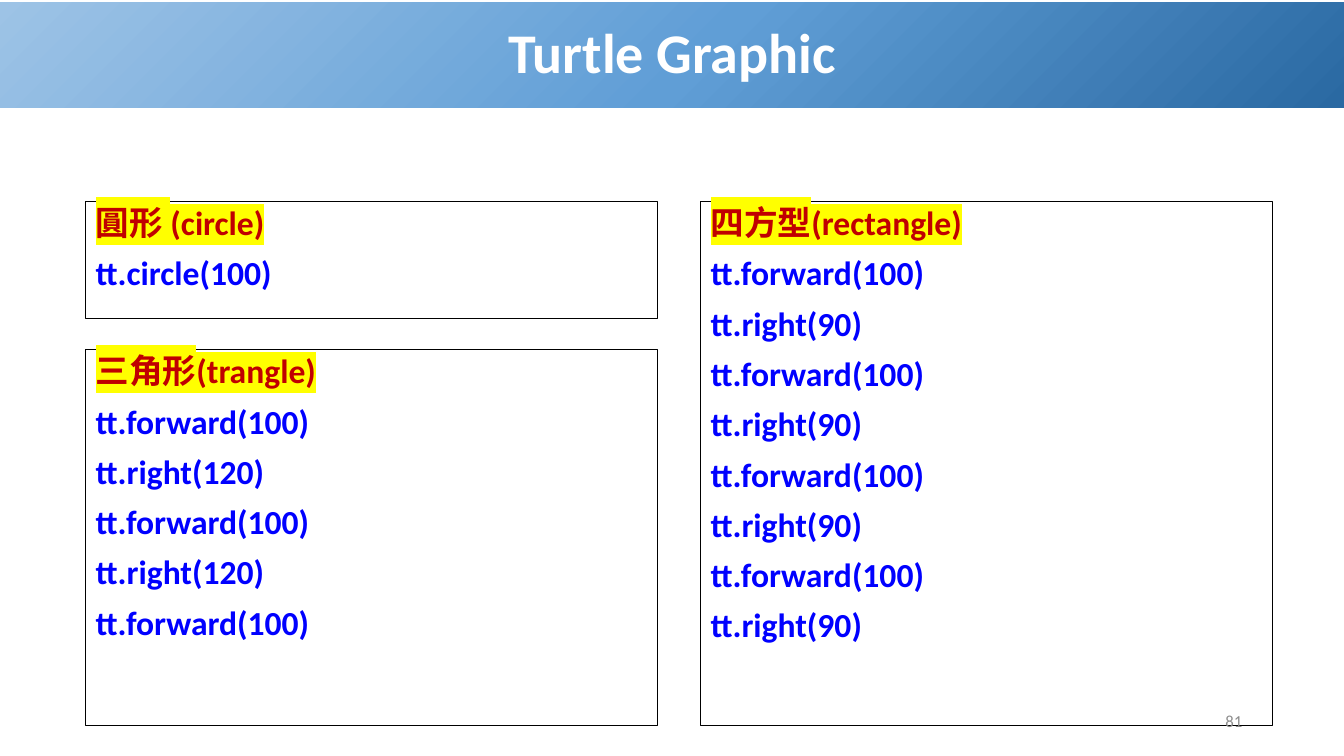
"""Build the Turtle Graphic slide with drawing commands for three figures."""
from dataclasses import dataclass

from lxml.etree import SubElement
from pptx import Presentation
from pptx.dml.color import RGBColor as Rgb
from pptx.enum.text import MSO_ANCHOR as Anchor, PP_ALIGN as Align
from pptx.oxml.ns import qn
from pptx.util import Inches, Pt

SLIDE_WIDTH, SLIDE_HEIGHT = Inches(13.33), Inches(7.5)


@dataclass(frozen=True)
class Theme:
    """Colours, font and type sizes of the slide."""
    font: str = "Calibri"
    title_size: int = 40
    code_size: int = 24
    number_size: int = 12
    title: str = "FFFFFF"
    heading: str = "C00000"
    marker: str = "FFFF00"
    code: str = "0000FF"
    border: str = "000000"
    number: str = "8C8C8C"
    banner: tuple = ((0, "2A69A2"), (48, "609ED6"), (100, "9DC3E6"))


THEME = Theme()


@dataclass(frozen=True)
class Grid:
    """Panel columns and rows in percent of the slide's size."""
    left: float = 6.38
    column: float = 42.53
    pitch: float = 45.75
    top: float = 26.67
    second_row: float = 46.27
    bottom: float = 95.93
    short_row: float = 15.47


GRID = Grid()


def area(left, top, width, height):
    """Turn percentages of the slide into lengths."""
    return (int(SLIDE_WIDTH * left / 100), int(SLIDE_HEIGHT * top / 100),
            int(SLIDE_WIDTH * width / 100), int(SLIDE_HEIGHT * height / 100))


def style(paragraph, size, color, bold=True):
    """Format the runs of a paragraph."""
    for run in paragraph.runs:
        run.font.name = THEME.font
        run.font.size = Pt(size)
        run.font.bold = bold
        run.font.color.rgb = Rgb.from_string(color)


def highlight(paragraph, color):
    """Mark the runs of a paragraph with a background colour."""
    for run in paragraph.runs:
        properties = run.font._element
        marker = SubElement(properties, qn("a:highlight"))
        SubElement(marker, qn("a:srgbClr"), val=color)
        properties.find(qn("a:latin")).addprevious(marker)


def radial_fill(shape, stops):
    """Fill a shape with a gradient spreading from its lower right corner."""
    gradient = SubElement(shape._element.spPr, qn("a:gradFill"), rotWithShape="1")
    stop_list = SubElement(gradient, qn("a:gsLst"))
    for position, color in stops:
        stop = SubElement(stop_list, qn("a:gs"), pos=str(position * 1000))
        SubElement(stop, qn("a:srgbClr"), val=color)
    circle = SubElement(gradient, qn("a:path"), path="circle")
    SubElement(circle, qn("a:fillToRect"), l="100000", t="100000")


def add_banner(slide, wording):
    """Place the title across the top of the slide."""
    banner = slide.shapes.title
    banner.left, banner.top, banner.width, banner.height = area(0, 0.27, 100, 14)
    radial_fill(banner, THEME.banner)
    frame = banner.text_frame
    frame.text = wording
    frame.vertical_anchor = Anchor.MIDDLE
    heading = frame.paragraphs[0]
    heading.alignment = Align.CENTER
    heading.line_spacing = 0.9
    style(heading, THEME.title_size, THEME.title)


def add_panel(slide, column, top, bottom, heading, commands):
    """Place a bordered panel with a marked heading above its commands."""
    left = GRID.left + column * GRID.pitch
    panel = slide.shapes.add_textbox(*area(left, top, GRID.column, bottom - top))
    panel.line.color.rgb = Rgb.from_string(THEME.border)
    panel.line.width = Pt(0.75)
    frame = panel.text_frame
    frame.word_wrap = True
    frame.text = "\n".join([heading, *commands])
    title, *steps = frame.paragraphs
    title.line_spacing = 0.9
    style(title, THEME.code_size, THEME.heading)
    highlight(title, THEME.marker)
    for step in steps:
        step.line_spacing = 0.9
        step.space_before = Pt(10)
        style(step, THEME.code_size, THEME.code)


def add_page_number(slide, number):
    """Place the page number at the lower right."""
    footer = slide.shapes.add_textbox(*area(70.67, 92.67, 22.5, 5.33))
    frame = footer.text_frame
    frame.word_wrap = True
    frame.vertical_anchor = Anchor.MIDDLE
    frame.text = number
    frame.paragraphs[0].alignment = Align.RIGHT
    style(frame.paragraphs[0], THEME.number_size, THEME.number, bold=False)


def main():
    """Build and save the slide."""
    deck = Presentation()
    deck.slide_width, deck.slide_height = SLIDE_WIDTH, SLIDE_HEIGHT
    slide = deck.slides.add_slide(deck.slide_layouts.get_by_name("Title Only"))
    forward = "tt.forward(100)"
    triangle = [forward, "tt.right(120)"] * 2 + [forward]
    rectangle = [forward, "tt.right(90)"] * 4

    add_banner(slide, "Turtle Graphic")
    add_panel(slide, 0, GRID.top, GRID.top + GRID.short_row,
              "圓形 (circle)", ["tt.circle(100)"])
    add_panel(slide, 0, GRID.second_row, GRID.bottom, "三角形(trangle)", triangle)
    add_panel(slide, 1, GRID.top, GRID.bottom, "四方型(rectangle)", rectangle)
    add_page_number(slide, "81")
    deck.save("out.pptx")


if __name__ == "__main__":
    main()
